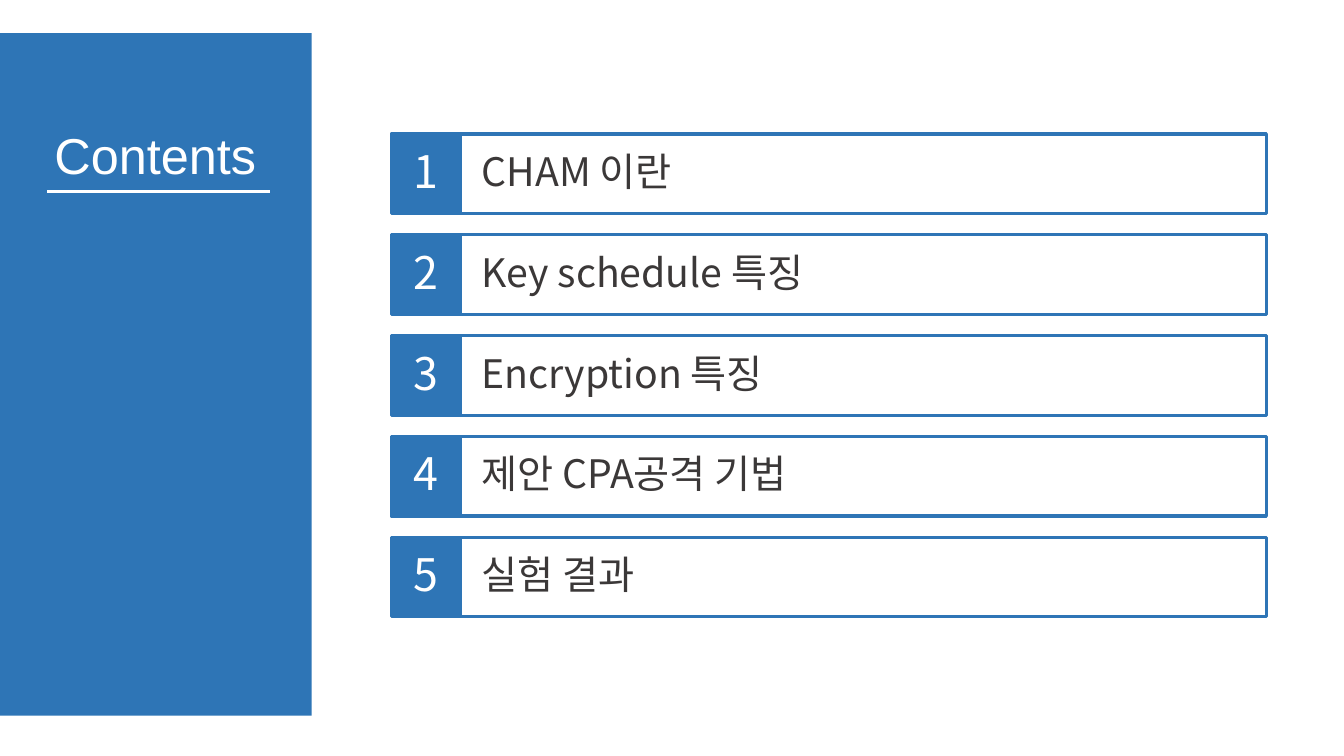
from lxml import etree
from pptx import Presentation
from pptx.dml.color import RGBColor
from pptx.enum import shapes, text
from pptx.oxml.ns import qn
from pptx.util import Inches, Pt

BLUE = RGBColor(0x2E, 0x75, 0xB6)
WHITE = RGBColor(0xFF, 0xFF, 0xFF)
DARK = RGBColor(0x3B, 0x38, 0x38)
KOREAN = "Noto Sans CJK KR"

TOPICS = ["CHAM 이란", "Key schedule 특징", "Encryption 특징",
          "제안 CPA공격 기법", "실험 결과"]
TITLE_FORMAT = {"name": "Arial", "size": Pt(36), "color": WHITE}
NUMBER_FORMAT = {"name": KOREAN, "size": Pt(32), "color": WHITE}
TOPIC_FORMAT = {"name": KOREAN, "size": Pt(28), "color": DARK}
ROW_PITCH = 1.0


def add_rect(slide, left, top, width, height, fill=None, line=None):
    sp = slide.shapes.add_shape(shapes.MSO_SHAPE.RECTANGLE, Inches(left),
                                Inches(top), Inches(width), Inches(height))
    sp.shadow.inherit = False
    if fill is None:
        sp.fill.background()
    else:
        sp.fill.solid()
        sp.fill.fore_color.rgb = fill
    if line is None:
        sp.line.fill.background()
    else:
        sp.line.color.rgb = line
        sp.line.width = Pt(2.25)
    return sp


def add_label(slide, left, top, width, height):
    return slide.shapes.add_textbox(Inches(left), Inches(top),
                                    Inches(width), Inches(height))


def write(sp, words, font_format, align):
    tf = sp.text_frame
    tf.word_wrap = True
    tf.vertical_anchor = text.MSO_ANCHOR.MIDDLE
    p = tf.paragraphs[0]
    p.alignment = align
    p.line_spacing = 0.9
    r = p.add_run()
    r.text = words
    for key, value in font_format.items():
        if key == "color":
            r.font.color.rgb = value
        else:
            setattr(r.font, key, value)
    east_asian = etree.SubElement(r.font._element, qn("a:ea"))
    east_asian.set("typeface", font_format["name"])


def add_sidebar(slide, left, top, width, height):
    add_rect(slide, left, top, width, height, fill=BLUE)
    title = add_label(slide, left + 0.23, top + 1, 2.62, 0.47)
    write(title, "Contents", TITLE_FORMAT, text.PP_ALIGN.CENTER)
    y = Inches(top + 1.57)
    rule = slide.shapes.add_connector(shapes.MSO_CONNECTOR.STRAIGHT,
                                      Inches(left + 0.47), y,
                                      Inches(left + 2.68), y)
    rule.line.color.rgb = WHITE
    rule.line.width = Pt(1.5)
    etree.SubElement(rule._element.spPr, qn("a:effectLst"))


def add_topic_row(slide, number, topic, left, top, width, height):
    add_rect(slide, left + 0.61, top, width - 0.61, height, line=BLUE)
    badge = add_rect(slide, left, top, 0.69, height, fill=BLUE, line=BLUE)
    write(badge, str(number), NUMBER_FORMAT, text.PP_ALIGN.CENTER)
    label = add_label(slide, left + 0.8, top, width - 0.81, height)
    write(label, topic, TOPIC_FORMAT, text.PP_ALIGN.LEFT)


def add_topic_list(slide, left, top, width, row_height):
    for i, topic in enumerate(TOPICS):
        add_topic_row(slide, i + 1, topic, left, top + i * ROW_PITCH,
                      width, row_height)


def main():
    prs = Presentation()
    prs.slide_width, prs.slide_height = Inches(13.33), Inches(7.5)
    slide = prs.slides.add_slide(prs.slide_layouts[6])
    add_sidebar(slide, 0, 0.33, 3.09, 6.77)
    add_topic_list(slide, 3.88, 1.33, 8.68, 0.79)
    prs.save("out.pptx")


if __name__ == "__main__":
    main()
